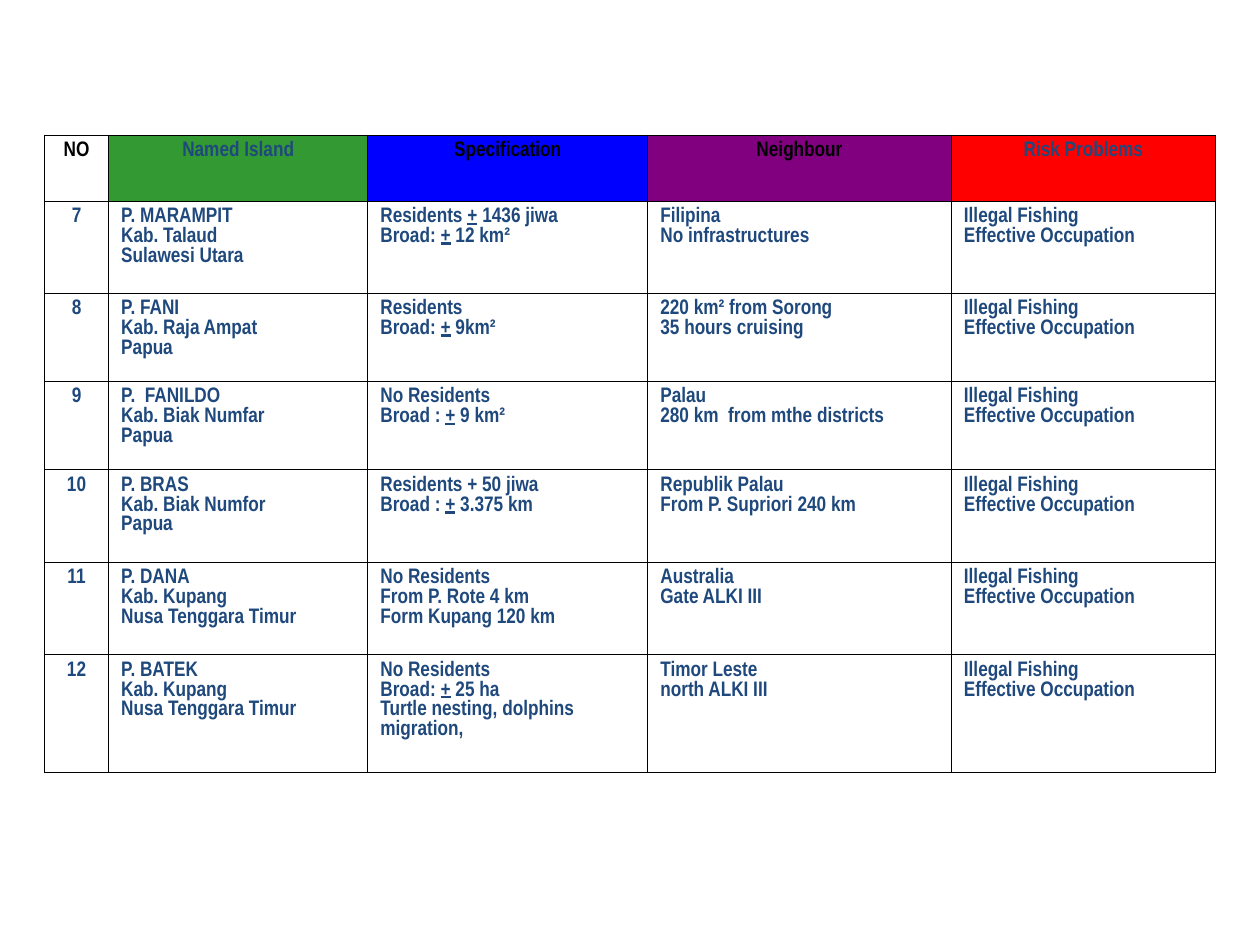
from lxml.etree import SubElement
from pptx import Presentation
from pptx.dml.color import RGBColor
from pptx.enum.text import PP_ALIGN
from pptx.oxml.ns import qn
from pptx.util import Pt

COLORS = {
    "black": "000000",
    "white": "FFFFFF",
    "navy": "1F497D",
    "green": "339933",
    "blue": "0000FF",
    "purple": "800080",
    "red": "FF0000",
}
FONT = "Arial Narrow"
COL_WIDTHS = [36.7, 148.1, 160, 173.5, 151]
ROW_HEIGHTS = [37.7, 52.6, 50.4, 50.6, 52.8, 52.9, 67.5]
HEADERS = [
    ("NO", "white", "black"),
    ("Named Island", "green", "navy"),
    ("Specification", "blue", "black"),
    ("Neighbour", "purple", "black"),
    ("Risk Problems", "red", "navy"),
]
RISKS = ["Illegal Fishing", "Effective Occupation"]
FIRST_NUMBER = 7
UNDERLINE_MARK = "_"
ISLANDS = [
    (["P. MARAMPIT", "Kab. Talaud", "Sulawesi Utara"],
     ["Residents _+_ 1436 jiwa", "Broad: _+_ 12 km²"],
     ["Filipina", "No infrastructures"]),
    (["P. FANI", "Kab. Raja Ampat", "Papua"],
     ["Residents", "Broad: _+_ 9km²"],
     ["220 km² from Sorong", "35 hours cruising"]),
    (["P.  FANILDO", "Kab. Biak Numfar", "Papua"],
     ["No Residents", "Broad : _+_ 9 km²"],
     ["Palau", "280 km  from mthe districts"]),
    (["P. BRAS", "Kab. Biak Numfor", "Papua"],
     ["Residents + 50 jiwa", "Broad : _+_ 3.375 km"],
     ["Republik Palau", "From P. Supriori 240 km"]),
    (["P. DANA", "Kab. Kupang", "Nusa Tenggara Timur"],
     ["No Residents", "From P. Rote 4 km", "Form Kupang 120 km"],
     ["Australia", "Gate ALKI III"]),
    (["P. BATEK", "Kab. Kupang", "Nusa Tenggara Timur"],
     ["No Residents", "Broad: _+_ 25 ha", "Turtle nesting, dolphins migration,"],
     ["Timor Leste", "north ALKI III"]),
]


def rgb(name):
    return RGBColor.from_string(COLORS[name])


def set_borders(cell):
    tcPr = cell._tc.get_or_add_tcPr()
    for i, side in enumerate(("a:lnL", "a:lnR", "a:lnT", "a:lnB")):
        ln = tcPr.makeelement(qn(side), {"w": str(Pt(0.45))})
        fill = SubElement(ln, qn("a:solidFill"))
        SubElement(fill, qn("a:srgbClr"), val=COLORS["black"])
        tcPr.insert(i, ln)


def fill_cell(cell, lines, color="navy", fill=None, centered=False):
    if fill:
        cell.fill.solid()
        cell.fill.fore_color.rgb = rgb(fill)
    else:
        cell.fill.background()
    set_borders(cell)
    tf = cell.text_frame
    for i, line in enumerate(lines):
        p = tf.add_paragraph() if i else tf.paragraphs[0]
        p.alignment = PP_ALIGN.CENTER if centered else PP_ALIGN.LEFT
        for j, part in enumerate(line.split(UNDERLINE_MARK)):
            r = p.add_run()
            r.text = part
            r.font.name = FONT
            r.font.size = Pt(12)
            r.font.bold = True
            r.font.underline = j % 2 == 1
            r.font.color.rgb = rgb(color)


def add_island_table(s):
    shape = s.shapes.add_table(
        len(ROW_HEIGHTS), len(COL_WIDTHS), Pt(25.4), Pt(77.2),
        Pt(sum(COL_WIDTHS)), Pt(sum(ROW_HEIGHTS)))
    table = shape.table
    table.first_row = False
    table.horz_banding = False
    for col, width in zip(table.columns, COL_WIDTHS):
        col.width = Pt(width)
    for row, height in zip(table.rows, ROW_HEIGHTS):
        row.height = Pt(height)
    for c, (title, fill, color) in enumerate(HEADERS):
        fill_cell(table.cell(0, c), [title], color, fill, centered=True)
    for r, island in enumerate(ISLANDS, 1):
        number = str(FIRST_NUMBER + r - 1)
        for c, lines in enumerate([[number], *island, RISKS]):
            fill_cell(table.cell(r, c), lines, centered=c == 0)


def main():
    prs = Presentation()
    prs.slide_width, prs.slide_height = Pt(720), Pt(540)
    s = prs.slides.add_slide(prs.slide_layouts[6])
    add_island_table(s)
    prs.save("out.pptx")


if __name__ == "__main__":
    main()
